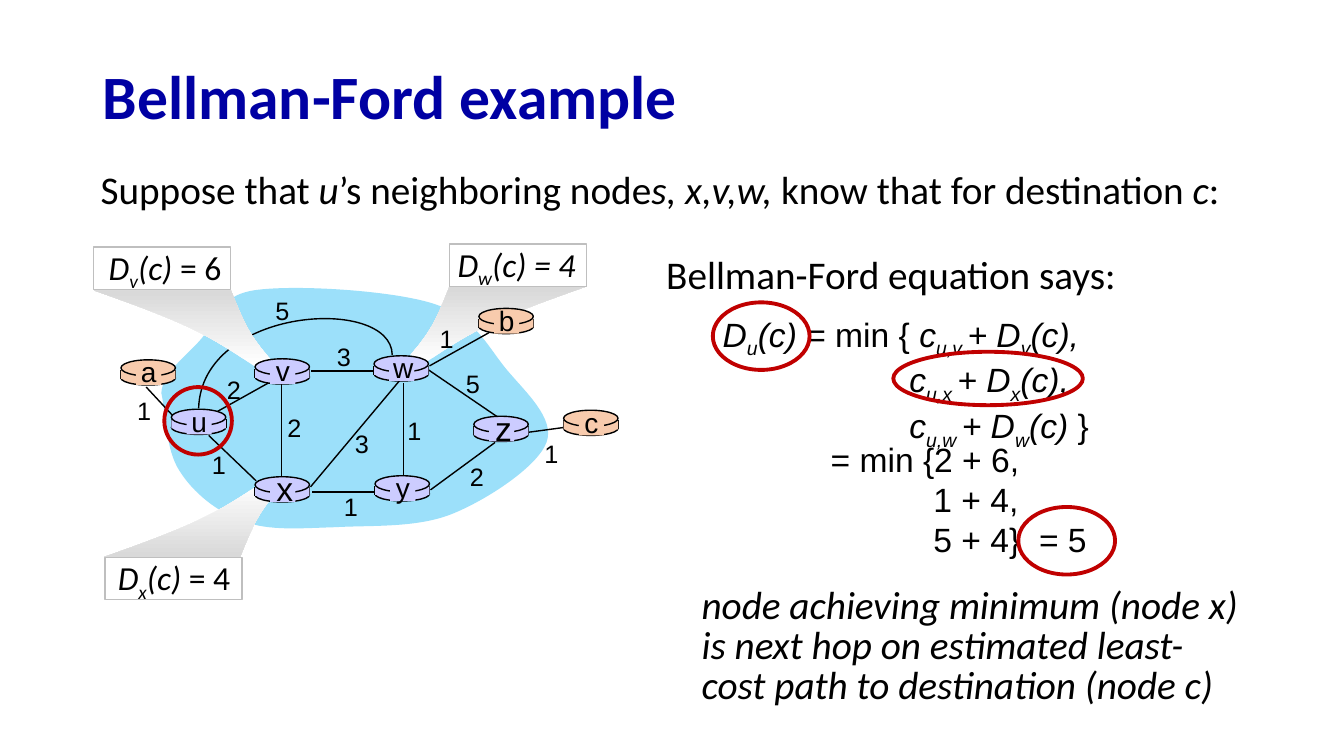
import lxml.etree
import pptx
import pptx.dml.color
import pptx.enum.shapes
import pptx.enum.text
import pptx.oxml.ns
import pptx.util

Inches, Pt = pptx.util.Inches, pptx.util.Pt
qn = pptx.oxml.ns.qn
SHAPE = pptx.enum.shapes.MSO_SHAPE
ALIGN = pptx.enum.text.PP_ALIGN
ANCHOR = pptx.enum.text.MSO_ANCHOR
COLORS = {"title": "0000A3", "black": "000000", "white": "FFFFFF", "network": "9CE0FA",
          "router": "CCCCFF", "outer": "F8CBAD", "mark": "C00000",
          "border": "BFBFBF", "shade": "D9D9D9"}


def rgb(name):
    return pptx.dml.color.RGBColor.from_string(COLORS[name])


def add_run(p, text, font="Arial", size=24, color="black", bold=False,
            italic=False, sub=False, spacing=None):
    r = p.add_run()
    r.text = text
    r.font.name, r.font.size = font, Pt(size)
    r.font.bold, r.font.italic = bold, italic
    r.font.color.rgb = rgb(color)
    if sub:
        r.font._element.set("baseline", "-25000")
    if spacing:
        r.font._element.set("spc", str(spacing))


def subscript(sub, tail):
    return [(sub, {"italic": True, "sub": True}), (tail, {"italic": True})]


def term(name, sub, tail):
    """Italic name with a subscript, then italic text."""
    return [(name, {"italic": True})] + subscript(sub, tail)


class SlideBuilder:
    def __init__(self, slide):
        self.slide = slide
        self.shapes = slide.shapes

    def style(self, sp, fill=None, line=None, width=1):
        sp.shadow.inherit = False
        if fill:
            sp.fill.solid()
            sp.fill.fore_color.rgb = rgb(fill)
        else:
            sp.fill.background()
        if line:
            sp.line.color.rgb = rgb(line)
            sp.line.width = Pt(width)
        else:
            sp.line.fill.background()
        return sp

    def shape(self, kind, x, y, w, h, **look):
        sp = self.shapes.add_shape(kind, Inches(x), Inches(y), Inches(w), Inches(h))
        return self.style(sp, **look)

    def outline(self, start, segments, close=True, **look):
        """Segments of 2 numbers are straight, those of 6 are cubic curves."""
        points = [(Inches(seg[i]), Inches(seg[i + 1]))
                  for seg in segments for i in range(0, len(seg), 2)]
        fb = self.shapes.build_freeform(Inches(start[0]), Inches(start[1]), scale=1.0)
        fb.add_line_segments(points, close=close)
        sp = fb.convert_to_shape()
        steps = iter(list(sp._element.iter(qn("a:lnTo"))))
        for seg in segments:
            step = next(steps)
            if len(seg) == 6:
                step.tag = qn("a:cubicBezTo")
                for _ in range(2):
                    extra = next(steps)
                    step.append(extra[0])
                    extra.getparent().remove(extra)
        return self.style(sp, **look)

    def line(self, x1, y1, x2, y2):
        c = self.shapes.add_connector(pptx.enum.shapes.MSO_CONNECTOR.STRAIGHT, Inches(x1),
                                      Inches(y1), Inches(x2), Inches(y2))
        c.line.color.rgb = rgb("black")
        c.line.width = Pt(1)
        lxml.etree.SubElement(c._element.spPr, qn("a:effectLst"))

    def text(self, x, y, w, h, paragraphs, align=ALIGN.LEFT, anchor=ANCHOR.TOP,
             wrap=True, indents=(), spacing=None, **fmt):
        tf = self.shapes.add_textbox(Inches(x), Inches(y), Inches(w), Inches(h)).text_frame
        tf.word_wrap, tf.vertical_anchor = wrap, anchor
        for i, runs in enumerate(paragraphs):
            p = tf.paragraphs[0] if i == 0 else tf.add_paragraph()
            p.alignment = align
            if spacing:
                p.line_spacing = spacing
            if indents and indents[i]:
                p._p.get_or_add_pPr().set("marL", str(Inches(indents[i])))
            for text, extra in runs:
                add_run(p, text, **{**fmt, **extra})

    def label(self, x, y, w, h, text, size):
        self.text(x, y, w, h, [[(text, {})]], align=ALIGN.CENTER, anchor=ANCHOR.MIDDLE,
                  wrap=False, size=size)

    def title(self, text):
        sp = self.shapes.title
        sp.left, sp.top, sp.width, sp.height = map(Inches, (0.92, 0.5, 11.5, 0.98))
        tf = sp.text_frame
        tf.vertical_anchor = ANCHOR.MIDDLE
        p = tf.paragraphs[0]
        p.alignment, p.line_spacing = ALIGN.LEFT, 0.9
        add_run(p, text, font="Calibri", size=44, color="title", bold=True)

    def router(self, name, x, y, fill="router", size=20):
        w = 0.54
        self.shape(SHAPE.OVAL, x, y + 0.11, w, 0.14, fill=fill, line="black")
        for side in (x, x + w):
            self.line(side, y + 0.1, side, y + 0.19)
        self.shape(SHAPE.RECTANGLE, x, y + 0.1, w, 0.09, fill=fill)
        self.shape(SHAPE.OVAL, x, y, w, 0.16, fill=fill, line="black")
        self.shape(SHAPE.RECTANGLE, x + 0.15, y + 0.02, 0.25, 0.23, fill=fill)
        shift = 0.11 if size > 20 else 0.09
        self.label(x + shift, y - 0.1, 0.37, 0.43, name, size)

    def callout(self, box, far, sx, sy, text_x, runs):
        def at(*offsets):
            return tuple(far[i % 2] + (sx, sy)[i % 2] * d for i, d in enumerate(offsets))
        tail = self.outline(at(1.75, 0.68), [at(1.59, 0.75), at(1.13, 0.44, 0.94, 0.33, 0, 0),
                                             at(1.36, 0), at(1.5, 0.35, 1.55, 0.45, 1.75, 0.68)])
        tail.fill.gradient()
        tail.fill.gradient_angle = 90 if sy > 0 else 270
        for stop, color, pos in zip(tail.fill.gradient_stops, ("white", "shade"), (0, 0.98)):
            stop.color.rgb, stop.position = rgb(color), pos
        self.shape(SHAPE.RECTANGLE, *box, 1.36, 0.42, fill="white", line="border")
        self.text(text_x, box[1] - 0.05, 1.54, 0.5, [runs], indents=(0.14,), font="Calibri")


def main():
    prs = pptx.Presentation()
    prs.slide_width, prs.slide_height = Inches(13.33), Inches(7.5)
    s = SlideBuilder(prs.slides.add_slide(prs.slide_layouts[5]))
    italic = {"italic": True}

    # Heading and introduction
    s.title("Bellman-Ford example")
    s.text(0.9, 1.59, 12.1, 0.57, [[
        ("Suppose that ", {}), ("u", italic), ("’s neighboring node", {}),
        ("s, x,v,w, ", italic), ("know that for destination", {}), (" c", italic),
        (":", {})]], font="Calibri", size=28)

    # Network area and inner links
    s.outline((1.6, 3.9), [
        (1.61, 3.7, 1.83, 3.55, 1.98, 3.38), (2.14, 3.21, 2.14, 2.94, 2.52, 2.88),
        (2.91, 2.82, 3.88, 2.88, 4.29, 3.01), (4.71, 3.14, 4.83, 3.43, 5.02, 3.66),
        (5.21, 3.89, 5.51, 4.15, 5.42, 4.39), (5.33, 4.63, 4.83, 4.96, 4.48, 5.1),
        (4.13, 5.24, 3.67, 5.21, 3.33, 5.23), (2.98, 5.24, 2.67, 5.27, 2.41, 5.17),
        (2.15, 5.08, 1.91, 4.88, 1.78, 4.67), (1.64, 4.46, 1.64, 4.06, 1.6, 3.9)],
        fill="network")
    for link in [(2.16, 4.08, 2.75, 3.75), (4, 3.8, 4, 4.71), (2.79, 3.81, 2.79, 4.74),
                 (3.08, 4.83, 3.96, 3.78), (4.27, 4.86, 4.91, 4.39), (3.73, 4.88, 3.09, 4.88),
                 (2.54, 4.77, 2.07, 4.32), (3.72, 3.68, 3.08, 3.68), (4.94, 4.14, 4.25, 3.67)]:
        s.line(*link)
    s.outline((3.89, 3.52), [(3.88, 2.93, 2, 3.04, 1.97, 4.05)], close=False, line="black")

    # Callouts with known distances
    s.callout((0.93, 2.45), (0.93, 2.88), 1, 1, 0.84, term("D", "v", "(c) ") + [("= 6", {})])
    s.callout((4.46, 2.42), (5.82, 2.84), -1, 1, 4.3, term("D", "w", "(c) = 4"))
    s.callout((1.04, 5.53), (1.02, 5.53), 1, -1, 0.93, term("D", "x", "(c)") + [(" = 4", {})])

    # Outer links and routers
    for link in [(1.45, 3.84, 1.71, 4.12), (4.85, 3.3, 4.26, 3.63), (5.6, 4.24, 5.23, 4.29)]:
        s.line(*link)
    for name, x, y, size in [("u", 1.7, 4.06, 20), ("y", 3.72, 4.72, 20), ("z", 4.7, 4.13, 24),
                             ("v", 2.53, 3.56, 20), ("w", 3.71, 3.53, 20), ("x", 2.53, 4.73, 24)]:
        s.router(name, x, y, size=size)
    for name, x, y in [("a", 1.2, 3.57), ("b", 4.75, 3.06), ("c", 5.59, 4.07)]:
        s.router(name, x, y, fill="outer")

    # Link costs
    for cost, x, y in [(2, 2.15, 3.66), (2, 2.75, 4.04), (1, 2, 4.41), (3, 3.42, 4.2),
                       (1, 3.31, 4.82), (1, 3.94, 4.07), (2, 4.56, 4.53), (5, 4.52, 3.6),
                       (3, 3.24, 3.34), (5, 2.63, 2.88), (1, 1.26, 3.87), (1, 4.26, 3.16),
                       (1, 5.3, 4.3)]:
        s.label(x, y, 0.34, 0.4, str(cost), 18)

    # Equation and its result
    s.text(7.07, 3.06, 3.93, 1.31, [
        term("D", "u", "(c) ") + [("= min { ", {})] + term("c", "u,v ", "+ D")
        + subscript("v", "(c),"),
        term("c", "u,x ", "+ D") + subscript("x", "(c),"),
        term("c", "u,w ", "+ D") + subscript("w", "(c) ") + [("}", {})]],
        indents=(0, 1.85, 1.85))
    s.text(6.51, 2.43, 4.74, 0.57, [[("Bellman-Ford equation says:", {})]],
           font="Calibri", size=28)
    s.text(8.14, 4.3, 2.76, 1.31, [
        [("= min {2 + 6,", {})], [("1 + 4,", {})],
        [("5 + 4}", {}), (" ", {"spacing": 667}), ("= 5", {})]], indents=(0, 1.02, 1.02))
    s.text(6.86, 5.78, 5.55, 1.31, [[
        ("node achieving minimum (node x) is next hop on estimated least-cost path to "
         "destination (node c)", italic)]], spacing=0.85, font="Calibri", size=28)

    # Red marks
    for mark in [(1.63, 3.84, 0.67, 0.67), (7.07, 3, 0.96, 0.67), (10.1, 5.03, 0.96, 0.67),
                 (8.86, 3.49, 1.88, 0.53)]:
        s.shape(SHAPE.OVAL, *mark, line="mark", width=2.75)

    prs.save("out.pptx")


if __name__ == "__main__":
    main()
